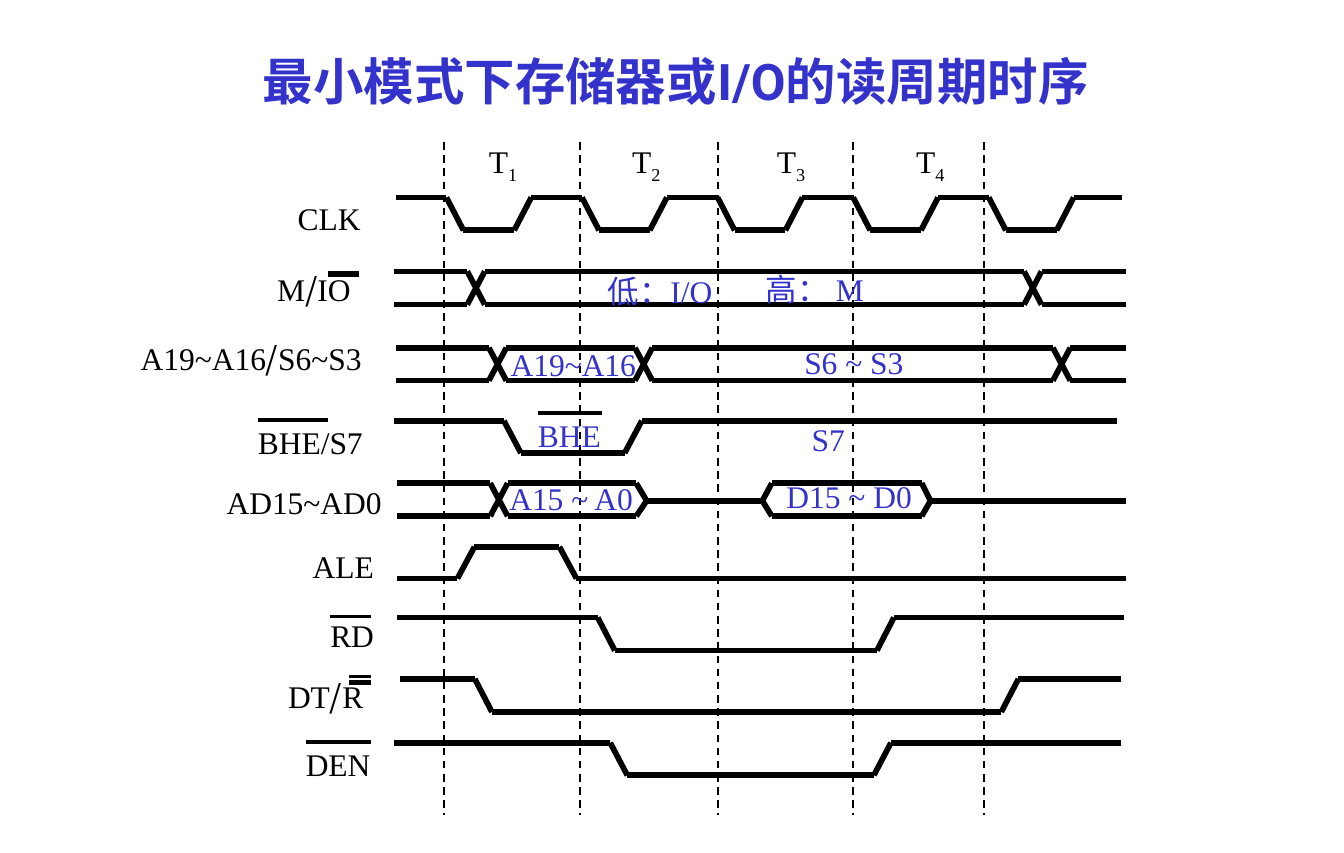
from pptx import Presentation
from pptx.dml.color import RGBColor
from pptx.enum.dml import MSO_LINE
from pptx.enum.shapes import MSO_CONNECTOR
from pptx.enum.text import MSO_ANCHOR, MSO_AUTO_SIZE, PP_ALIGN
from pptx.oxml.ns import qn
from pptx.util import Pt
from lxml import etree

BLACK = RGBColor(0, 0, 0)
BLUE = RGBColor(0x33, 0x33, 0xCC)
SERIF, SANS, HEAD = "Times New Roman", "Noto Sans CJK SC", "Roboto"
STRAIGHT = MSO_CONNECTOR.STRAIGHT
DASH = MSO_LINE.DASH
CENTER, JUSTIFY = PP_ALIGN.CENTER, PP_ALIGN.JUSTIFY
MIDDLE = MSO_ANCHOR.MIDDLE
NO_FIT = MSO_AUTO_SIZE.NONE

deck = Presentation()
deck.slide_width, deck.slide_height = Pt(708.69), Pt(450)
slide = deck.slides.add_slide(deck.slide_layouts[5])


def draw(points, width=3):
    """Join successive points with straight lines."""
    for (x1, y1), (x2, y2) in zip(points, points[1:]):
        line = slide.shapes.add_connector(
            STRAIGHT, Pt(x1), Pt(y1), Pt(x2), Pt(y2))
        line.line.color.rgb = BLACK
        line.line.width = Pt(width)
        etree.SubElement(line._element.spPr, qn("a:effectLst"))
        if width == 1:
            line.line.dash_style = DASH


def write(x, y, wide, high, parts, color, space=None):
    """Place a label; each part is (text, font, is subscript)."""
    frame = slide.shapes.add_textbox(Pt(x), Pt(y), Pt(wide), Pt(high)).text_frame
    frame.margin_left = frame.margin_right = 0
    frame.margin_top = frame.margin_bottom = 0
    frame.word_wrap = True
    para = frame.paragraphs[0]
    para.alignment = JUSTIFY
    para.line_spacing = space
    for text, face, sub in parts:
        run = para.add_run()
        run.text = text
        run.font.name = face
        run.font.size = Pt(16.6)
        run.font.color.rgb = color
        if sub:
            run.font._element.set("baseline", "-25000")


# Title
title = slide.shapes.title
title.left, title.top, title.width, title.height = Pt(86.4), Pt(20.2), Pt(540), Pt(44)
frame = title.text_frame
frame.auto_size = NO_FIT
frame.vertical_anchor = MIDDLE
frame.margin_left = frame.margin_right = Pt(5.8)
frame.margin_top = frame.margin_bottom = Pt(2.9)
frame.paragraphs[0].alignment = CENTER
run = frame.paragraphs[0].add_run()
run.text = "最小模式下存储器或I/O的读周期时序"
run.font.name = HEAD
run.font.size = Pt(26.6)
run.font.bold = True
run.font.color.rgb = BLUE

# Clock states
for x in (234, 306, 378.7, 450, 519):
    draw([(x, 75), (x, 429.8)], 1)
for i, x in enumerate((257.8, 333.4, 409.7, 483.1), 1):
    write(x, 75, 25, 26, [("T", SERIF, False), (str(i), SERIF, True)], BLACK)

# Clock
clock = [(208.8, 104.2)]
for i in range(5):
    x = 235.4 + 71.5 * i
    clock += [(x, 104.2), (x + 9, 121.5), (x + 35.75, 121.5), (x + 44.75, 104.2)]
draw(clock + [(591.8, 104.2)])

# Buses: high, low, start, crossings, end of the paired rails
buses = [
    (143.2, 160.7, 207.5, (246.4, 540), 593.8),
    (183.5, 200.8, 208.8, (257.8, 334.8, 555.2), 593.8),
    (254.9, 272.3, 209.5, (258.5,), 335.5),
]
for high, low, start, cuts, end in buses:
    for cut in cuts:
        for a, b in ((high, low), (low, high)):
            draw([(start, a), (cut, a), (cut + 9.2, b)])
        start = cut + 9.2
    for y in (high, low):
        draw([(start, y), (end, y)])

# Address and data on AD15~AD0
for y in (254.9, 272.3):
    draw([(335.5, y), (341, 264.2)])
    draw([(402, 264.2), (407, y), (486, y), (490.7, 264.2)])
draw([(341, 264.2), (402, 264.2)])
draw([(490.7, 264.2), (593.8, 264.2)])

# Control signals: rest level, pulse level, start, first edge, second edge, end
pulses = [
    (222, 239, 208, 265.7, 329.4, 589),
    (305.2, 288.5, 209.5, 241.2, 295, 593.8),
    (325.8, 343.2, 209.5, 315.2, 462.4, 592.7),
    (358.2, 375.6, 211, 250.4, 528, 591),
    (391.9, 409, 207.5, 321.8, 460.8, 591),
]
for rest, pulse, start, first, second, end in pulses:
    draw([(start, rest), (first, rest), (first + 9, pulse),
          (second, pulse), (second + 9, rest), (end, rest)])

# Bars over active-low names
bars = [
    (172.8, 189.4, 144.5, 3), (136, 172.8, 221.6, 2), (283.7, 317.5, 218, 2),
    (174.2, 195.8, 325.3, 2), (184.3, 195.8, 360.1, 3), (184.3, 195.8, 356.9, 2),
    (161.3, 195.8, 391.6, 2),
]
for left, right, y, width in bars:
    draw([(left, y), (right, y)], width)

# Signal names
names = [
    (157, 105, 45, ("CLK",)),
    (146.2, 142.4, 56, ("M", "/", "IO")),
    (74.2, 179.1, 142, ("A19~A16", "/", "S6~S3")),
    (136, 223, 65, ("BHE/S7",)),
    (119.5, 254.7, 84, ("AD15~AD0",)),
    (164.9, 288.7, 43, ("ALE",)),
    (174.2, 325.2, 33, ("RD",)),
    (151.9, 356.9, 51, ("DT", "/", "R")),
    (161.3, 393, 41, ("DEN",)),
]
for x, y, wide, texts in names:
    parts = [(t, SANS if t == "/" else SERIF, False) for t in texts]
    write(x, y, wide, 20, parts, BLACK)

# Values carried by the signals
values = [
    (320.4, 143.3, 68, "低：I/O", None),
    (403.9, 142.6, 59, "高： M", None),
    (269.3, 182.2, 75, "A19~A16", None),
    (424.1, 185, 65.5, "S6 ~ S3", 0.8),
    (283.7, 219.5, 41, "BHE", None),
    (428, 221.8, 30, "S7", None),
    (268.6, 256.3, 75, "A15 ~ A0", 0.8),
    (414.7, 257, 70, "D15 ~ D0", 0.7),
]
for x, y, wide, text, space in values:
    write(x, y, wide, 18, [(text, SERIF, False)], BLUE, space)

deck.save("out.pptx")
